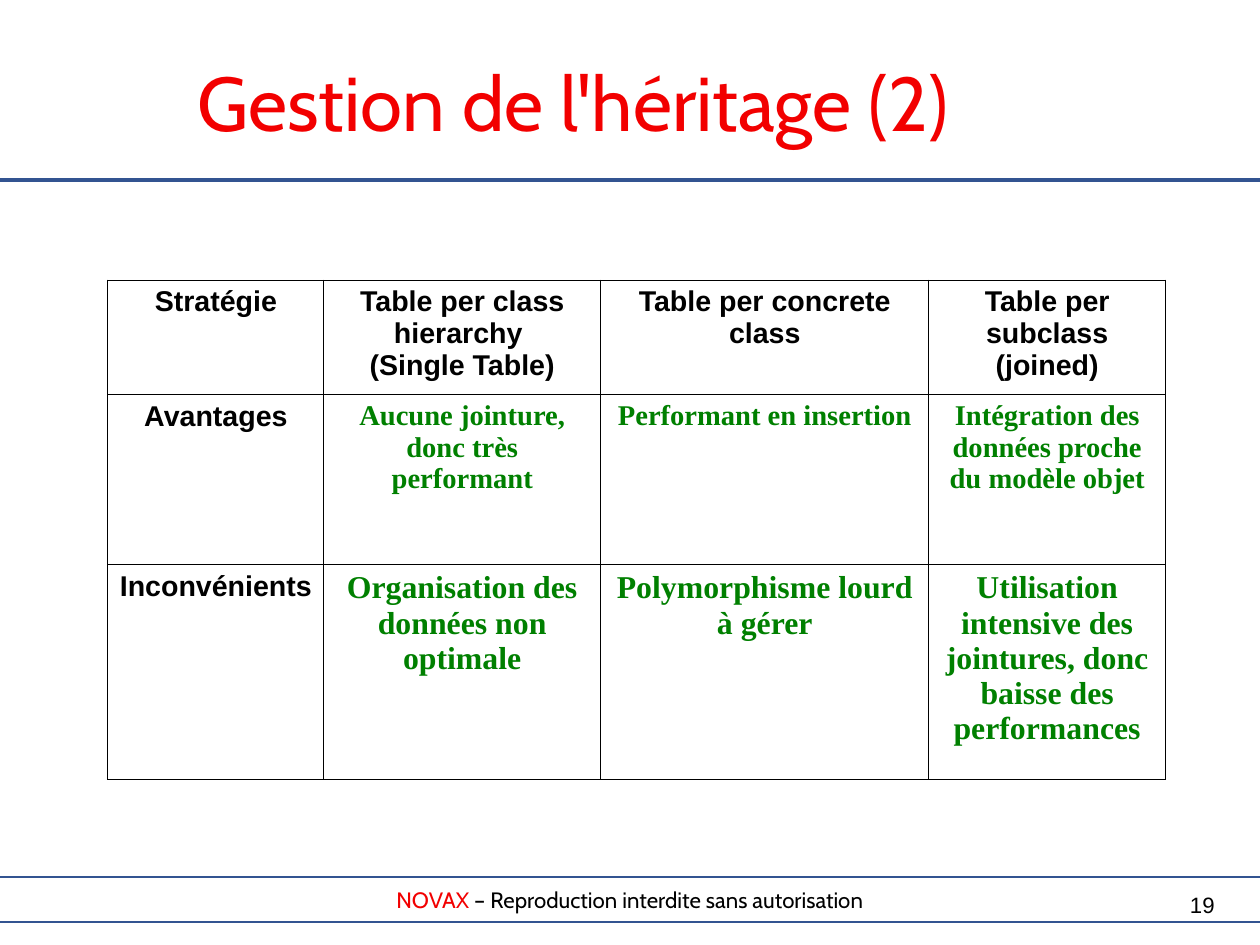
from dataclasses import dataclass

from lxml.etree import SubElement
from pptx import Presentation
from pptx.dml.color import RGBColor
from pptx.enum.shapes import MSO_CONNECTOR, MSO_SHAPE
from pptx.enum.text import MSO_ANCHOR, PP_ALIGN
from pptx.oxml import parse_xml
from pptx.oxml.ns import nsdecls, qn
from pptx.table import _Cell
from pptx.text.text import TextFrame, _Paragraph
from pptx.util import Pt

RED, BLUE, BLACK, GREEN = "F20000", "325491", "000000", "008000"
SLIDE_WIDTH, SLIDE_HEIGHT = 793.7, 595.28


@dataclass(frozen=True)
class CellStyle:
    font: str
    color: str
    size: float
    before: float
    after: float


HEADING = CellStyle("Arial", BLACK, 18, 4.5, 6.8)
ADVANTAGE = CellStyle("Times New Roman", GREEN, 18, 4.5, 6.8)
DRAWBACK = CellStyle("Times New Roman", GREEN, 20, 5, 7.5)


@dataclass(frozen=True)
class Criterion:
    height: float
    label: str
    answers: tuple[str, ...]
    style: CellStyle


COLUMN_WIDTHS = (136, 174.4, 206.8, 149)
CRITERIA = (
    Criterion(68.4, "Stratégie", (
        "Table per class hierarchy \n(Single Table)",
        "Table per concrete class",
        "Table per subclass\n(joined)",
    ), HEADING),
    Criterion(107.4, "Avantages", (
        "Aucune jointure, donc très performant",
        "Performant en insertion",
        "Intégration des données proche du modèle objet",
    ), ADVANTAGE),
    Criterion(135, "Inconvénients", (
        "Organisation des données non optimale",
        "Polymorphisme lourd à gérer",
        "Utilisation intensive des jointures, donc baisse des performances",
    ), DRAWBACK),
)


def rgb(color: str) -> RGBColor:
    return RGBColor.from_string(color)


def write(paragraph: _Paragraph, text: str, *, font: str, size: float,
          color: str = BLACK, bold: bool = False,
          align: PP_ALIGN = PP_ALIGN.CENTER) -> None:
    paragraph.alignment = align
    for index, line in enumerate(text.split("\n")):
        if index:
            paragraph.add_line_break()
        run = paragraph.add_run()
        run.text = line
        run.font.name = font
        run.font.size = Pt(size)
        run.font.bold = bold
        run.font.color.rgb = rgb(color)


def set_frame(frame: TextFrame, anchor: MSO_ANCHOR, inset: float = 0) -> None:
    frame.word_wrap = True
    frame.vertical_anchor = anchor
    frame.margin_left = frame.margin_right = Pt(inset)
    frame.margin_top = frame.margin_bottom = Pt(inset)


def add_borders(cell: _Cell) -> None:
    properties = cell._tc.get_or_add_tcPr()
    for index, side in enumerate(("lnL", "lnR", "lnT", "lnB")):
        properties.insert(index, parse_xml(
            f'<a:{side} {nsdecls("a")} w="{Pt(0.75)}"><a:solidFill>'
            f'<a:srgbClr val="{BLACK}"/></a:solidFill></a:{side}>'))


def fill_cell(cell: _Cell, text: str, style: CellStyle) -> None:
    cell.fill.background()
    add_borders(cell)
    paragraph = cell.text_frame.paragraphs[0]
    paragraph.space_before = Pt(style.before)
    paragraph.space_after = Pt(style.after)
    write(paragraph, text, font=style.font, size=style.size,
          color=style.color, bold=True)


def main() -> None:
    presentation = Presentation()
    presentation.slide_width = Pt(SLIDE_WIDTH)
    presentation.slide_height = Pt(SLIDE_HEIGHT)
    slide = presentation.slides.add_slide(presentation.slide_layouts[5])
    shapes = slide.shapes

    footer = shapes.add_shape(MSO_SHAPE.RECTANGLE, Pt(-14.4), Pt(552.7), Pt(822.3), Pt(28))
    footer.shadow.inherit = False
    footer.fill.background()
    footer.line.color.rgb = rgb(BLUE)
    footer.line.width = Pt(1.42)
    set_frame(footer.text_frame, MSO_ANCHOR.MIDDLE, 0.7)
    notice = footer.text_frame.paragraphs[0]
    write(notice, "NOVAX", font="Cabin", size=14, color=RED)
    write(notice, " – Reproduction interdite sans autorisation", font="Cabin", size=14)

    title_rule = shapes.add_connector(
        MSO_CONNECTOR.STRAIGHT, Pt(0), Pt(113.3), Pt(SLIDE_WIDTH), Pt(113.3))
    title_rule.line.color.rgb = rgb(BLUE)
    title_rule.line.width = Pt(2.83)
    SubElement(title_rule._element.spPr, qn("a:effectLst"))

    page_number = shapes.add_textbox(Pt(737.2), Pt(561.3), Pt(28), Pt(30))
    set_frame(page_number.text_frame, MSO_ANCHOR.TOP)
    write(page_number.text_frame.paragraphs[0], "19", font="Arial", size=14,
          align=PP_ALIGN.RIGHT)

    title = shapes.title
    title.left, title.top, title.width, title.height = Pt(28), Pt(14.1), Pt(666), Pt(99.2)
    set_frame(title.text_frame, MSO_ANCHOR.MIDDLE)
    write(title.text_frame.paragraphs[0], "Gestion de l'héritage (2)",
          font="Cabin", size=48, color=RED)

    strategies = shapes.add_table(
        len(CRITERIA), len(COLUMN_WIDTHS), Pt(68), Pt(176.4),
        Pt(sum(COLUMN_WIDTHS)), Pt(sum(c.height for c in CRITERIA))).table
    for column, width in zip(strategies.columns, COLUMN_WIDTHS):
        column.width = Pt(width)
    for row, criterion in zip(strategies.rows, CRITERIA):
        row.height = Pt(criterion.height)
        label, *answers = row.cells
        fill_cell(label, criterion.label, HEADING)
        for cell, answer in zip(answers, criterion.answers):
            fill_cell(cell, answer, criterion.style)

    presentation.save("out.pptx")


if __name__ == "__main__":
    main()
